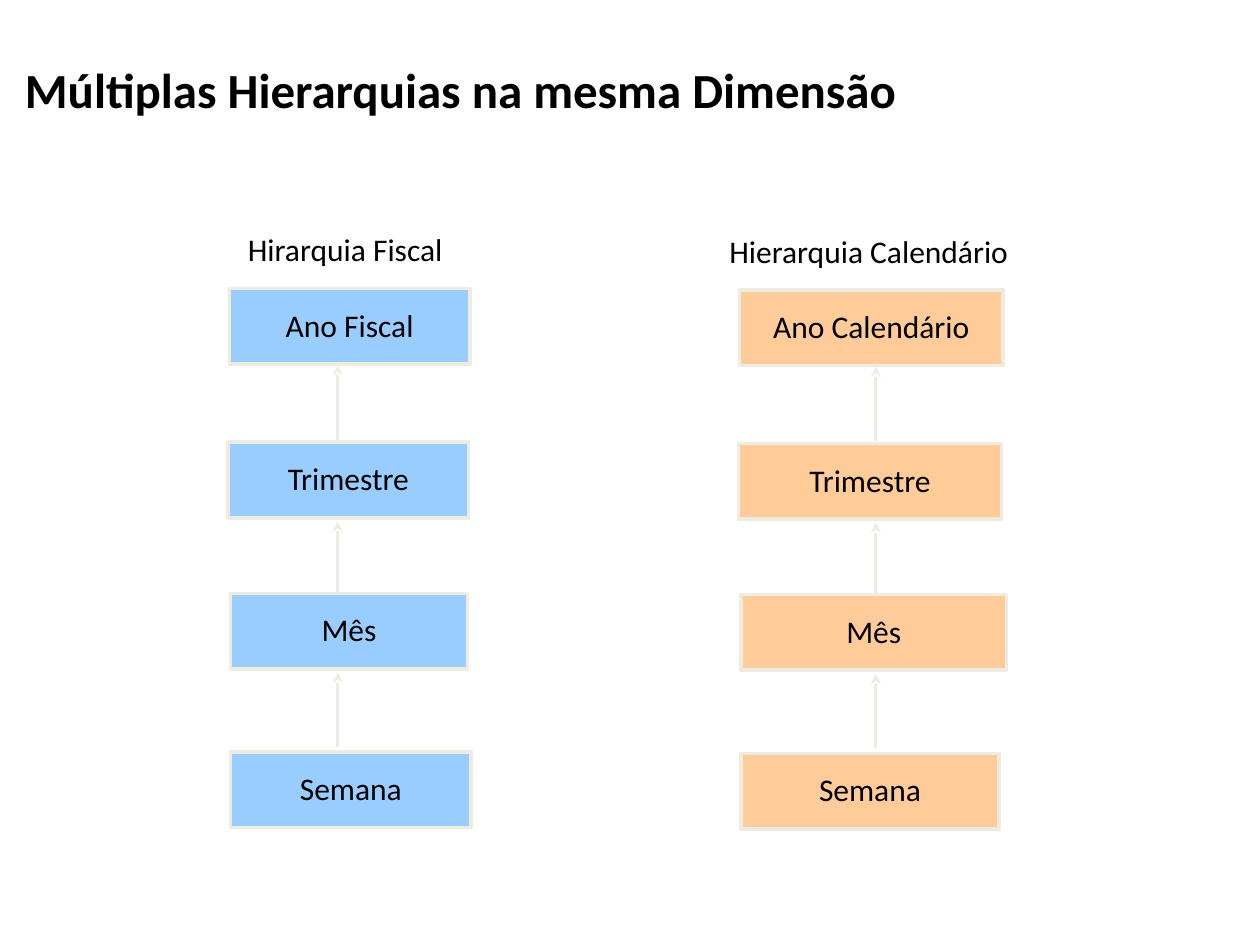
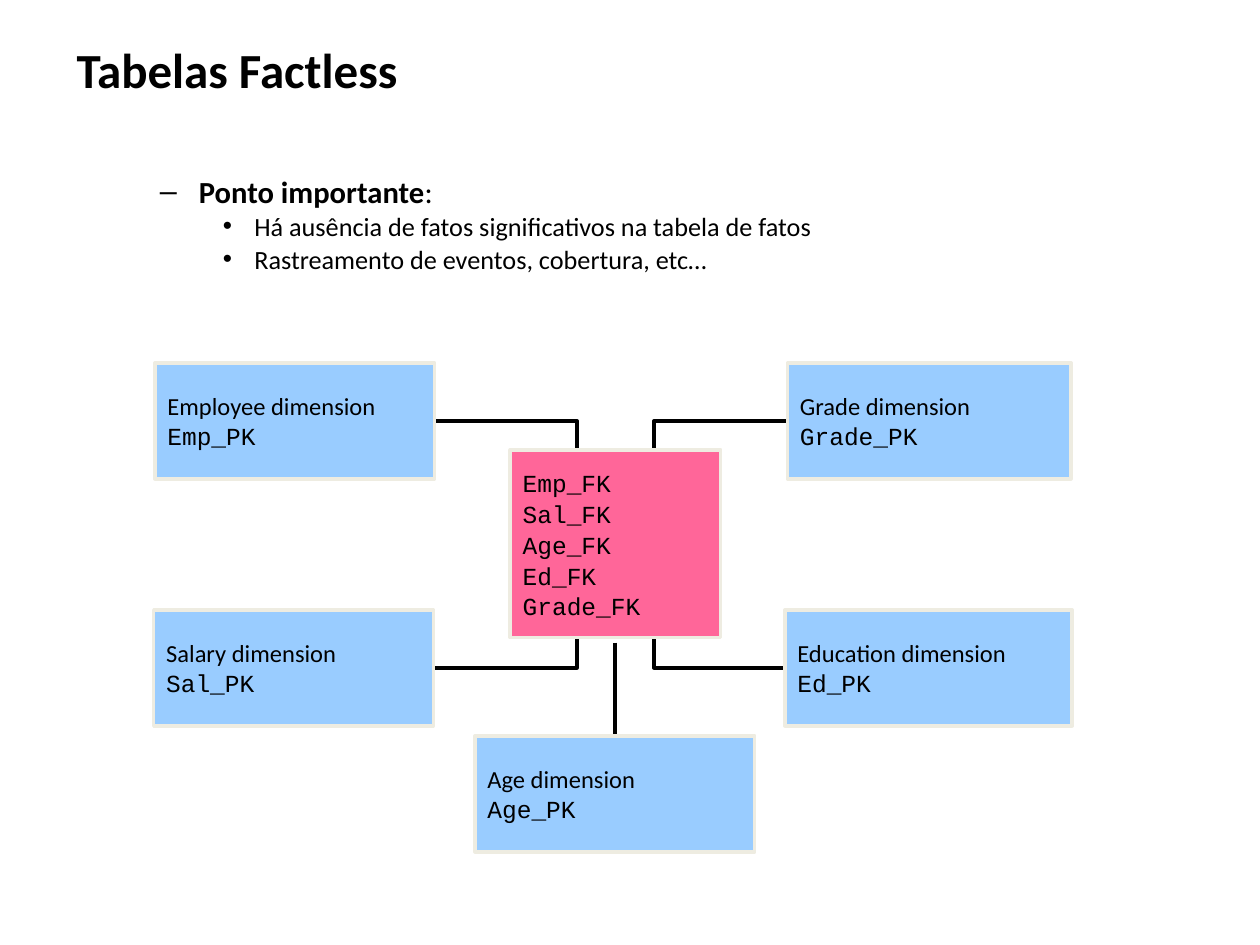
from lxml.etree import SubElement
from pptx import Presentation
from pptx.dml.color import RGBColor
from pptx.enum.shapes import MSO_CONNECTOR, MSO_SHAPE
from pptx.enum.text import MSO_ANCHOR, PP_ALIGN
from pptx.oxml.ns import qn
from pptx.util import Inches, Pt

BLACK = RGBColor(0x00, 0x00, 0x00)
CREAM = RGBColor(0xEE, 0xEC, 0xE1)
BLUE = RGBColor(0x99, 0xCC, 0xFF)
PEACH = RGBColor(0xFF, 0xCC, 0x99)
PINK = RGBColor(0xFF, 0x66, 0x99)
SANS = "Calibri"
MONO = "Courier New"


def write(frame, text, size=18, font=SANS, bold=False, tail="", align=PP_ALIGN.LEFT,
          lead=None, before=0, bullet=None, left=0, hang=0):
    para = frame.paragraphs[0]
    if para.runs:
        para = frame.add_paragraph()
    if bullet:
        props = para._p.get_or_add_pPr()
        props.set("marL", str(Inches(left)))
        props.set("indent", str(-Inches(hang)))
        SubElement(props, qn("a:buFont")).set("typeface", "Arial")
        SubElement(props, qn("a:buChar")).set("char", bullet)
    para.alignment = align
    para.space_before = Pt(before)
    if lead:
        para.line_spacing = lead
    for part, heavy in ((text, bold), (tail, False)):
        if part:
            run = para.add_run()
            run.text = part
            run.font.size = Pt(size)
            run.font.name = font
            run.font.bold = heavy
            run.font.color.rgb = BLACK


def label(slide, box, anchor=MSO_ANCHOR.TOP, wrap=True):
    frame = slide.shapes.add_textbox(*map(Inches, box)).text_frame
    frame.word_wrap = wrap
    frame.vertical_anchor = anchor
    return frame


def title(slide, box, text):
    write(label(slide, box, MSO_ANCHOR.MIDDLE), text, size=28, bold=True)


def block(slide, box, fill):
    shape = slide.shapes.add_shape(MSO_SHAPE.RECTANGLE, *map(Inches, box))
    shape.shadow.inherit = False
    shape.fill.solid()
    shape.fill.fore_color.rgb = fill
    shape.line.color.rgb = CREAM
    shape.line.width = Pt(2)
    frame = shape.text_frame
    frame.word_wrap = False
    frame.vertical_anchor = MSO_ANCHOR.MIDDLE
    return frame


def link(slide, start, end, color, arrow=False):
    line = slide.shapes.add_connector(MSO_CONNECTOR.STRAIGHT, *map(Inches, start + end))
    line.line.color.rgb = color
    line.line.width = Pt(2)
    if arrow:
        SubElement(line.line._get_or_add_ln(), qn("a:tailEnd")).set("type", "stealth")
    SubElement(line._element.spPr, qn("a:effectLst"))


def elbow(slide, start, bend, end):
    path = slide.shapes.build_freeform(*map(Inches, start))
    path.add_line_segments([tuple(map(Inches, spot)) for spot in (bend, end)], close=False)
    shape = path.convert_to_shape()
    shape.shadow.inherit = False
    shape.fill.background()
    shape.line.color.rgb = BLACK
    shape.line.width = Pt(2)


def ladder(slide, box, head, levels, widths, inset, stem, fill):
    left, top, width, height = box
    for foot in (1.71, 2.95, 4.15):
        link(slide, (left + stem, top + foot), (left + stem, top + foot - 0.59), CREAM, arrow=True)
    write(label(slide, (left, top, width, 0.4), wrap=False), head, align=PP_ALIGN.CENTER)
    places = zip(levels, widths, (0.01, 0, 0.02, 0.02), (0.51, 1.73, 2.93, 4.19))
    for name, wide, shift, drop in places:
        frame = block(slide, (left + inset + shift, top + drop, wide, 0.6), fill)
        write(frame, name, align=PP_ALIGN.CENTER, lead=0.95)


def points(slide, box, head, items):
    frame = label(slide, box)
    write(frame, head, size=17.5, bold=True, tail=":", lead=0.75, bullet="–", left=0.81, hang=0.31)
    for item in items:
        write(frame, item, size=15, lead=0.75, before=5.25, bullet="•", left=1.25, hang=0.25)


def star(slide, box, keys, sides):
    left, top, width, height = box
    for far, near in ((2.05, 3.36), (5.28, 3.97)):
        for outer, inner in ((0.46, 0.76), (2.42, 2.12)):
            elbow(slide, (left + far, top + outer), (left + near, top + outer),
                  (left + near, top + inner))
    link(slide, (left + 3.66, top + 2.22), (left + 3.66, top + 2.95), BLACK)
    fact = block(slide, (left + 2.83, top + 0.69, 1.67, 1.49), PINK)
    for key in keys:
        write(fact, key, size=14, font=MONO, lead=1.05)
    for name, key, right, down, wide in sides:
        frame = block(slide, (left + right, top + down, wide, 0.92), BLUE)
        write(frame, name + " dimension", size=14)
        write(frame, key, size=14, font=MONO)


def main():
    deck = Presentation()
    deck.slide_width, deck.slide_height = Inches(10), Inches(7.5)
    blank = deck.slide_layouts[6]

    slide = deck.slides.add_slide(blank)
    title(slide, (0.1, 0.08, 9, 1.25), "Múltiplas Hierarquias na mesma Dimensão")
    lower = ["Trimestre", "Mês", "Semana"]
    ladder(slide, (1.69, 1.78, 2.1, 4.79), "Hirarquia Fiscal", ["Ano Fiscal"] + lower,
           (1.91, 1.91, 1.88, 1.91), 0.12, 0.99, BLUE)
    ladder(slide, (5.48, 1.79, 2.83, 4.79), "Hierarquia Calendário", ["Ano Calendário"] + lower,
           (2.09, 2.09, 2.11, 2.05), 0.38, 1.47, PEACH)

    slide = deck.slides.add_slide(blank)
    title(slide, (0.51, 0.13, 7.88, 0.84), "Tabelas Factless")
    points(slide, (0.67, 1.39, 8.08, 0.92), "Ponto importante",
           ["Há ausência de fatos significativos na tabela de fatos",
            "Rastreamento de eventos, cobertura, etc…"])
    star(slide, (1.22, 2.88, 7.29, 3.88),
         ["Emp_FK", "Sal_FK", "Age_FK", "Ed_FK", "Grade_FK"],
         [("Grade", "Grade_PK", 5.03, 0, 2.25),
          ("Education", "Ed_PK", 5.01, 1.96, 2.28),
          ("Employee", "Emp_PK", 0.01, 0, 2.22),
          ("Salary", "Sal_PK", 0, 1.96, 2.22),
          ("Age", "Age_PK", 2.55, 2.96, 2.22)])
    deck.save("out.pptx")


if __name__ == "__main__":
    main()
